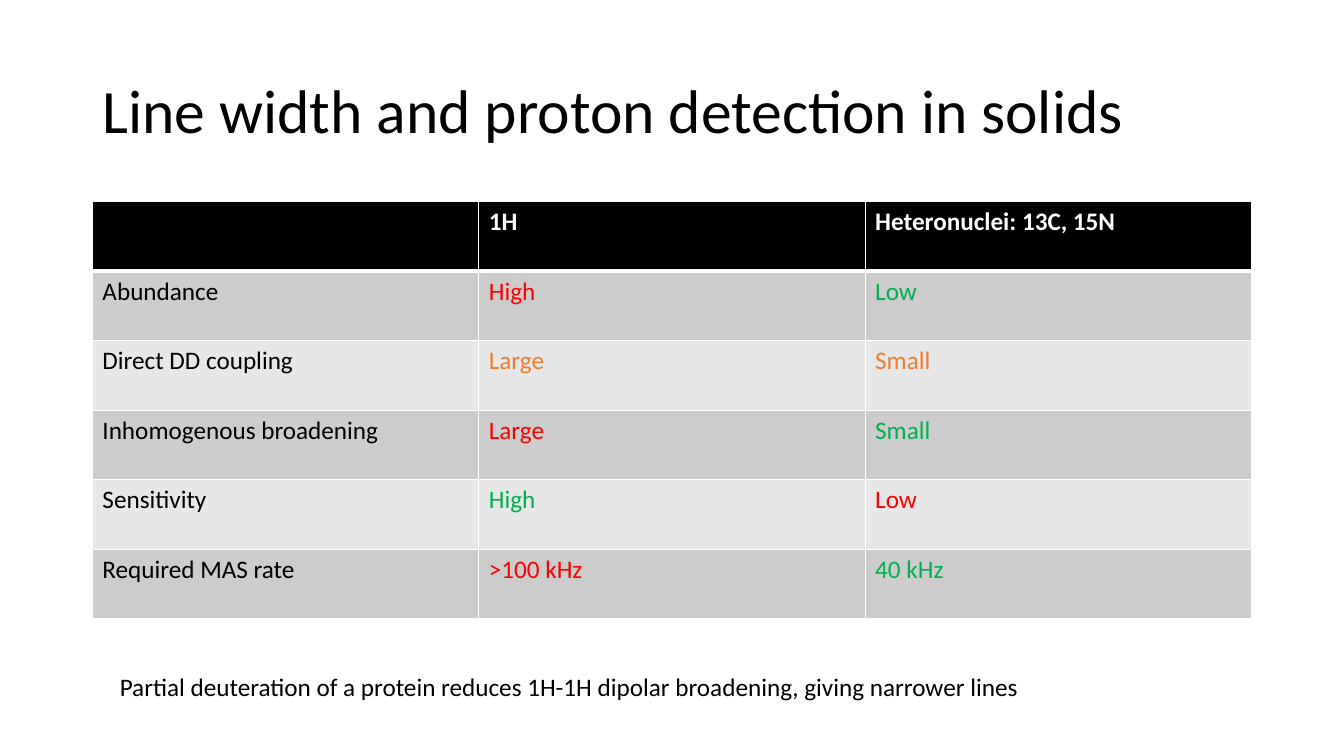
from pptx import Presentation
from pptx.dml.color import RGBColor
from pptx.enum import text
from pptx.oxml import parse_xml
from pptx.oxml.ns import nsdecls
from pptx.util import Pt

TITLE = "Line width and proton detection in solids"
NOTE = ("Partial deuteration of a protein reduces 1H-1H dipolar broadening, "
        "giving narrower lines")
HEADER = ["", "1H", "Heteronuclei: 13C, 15N"]
# Property, then text and rating for 1H and for the heteronuclei
PROPERTIES = [
    ("Abundance", ("High", "bad"), ("Low", "good")),
    ("Direct DD coupling", ("Large", "mixed"), ("Small", "mixed")),
    ("Inhomogenous broadening", ("Large", "bad"), ("Small", "good")),
    ("Sensitivity", ("High", "good"), ("Low", "bad")),
    ("Required MAS rate", (">100 kHz", "bad"), ("40 kHz", "good")),
]
COLORS = {
    "black": "000000", "white": "FFFFFF", "odd": "CCCCCC", "even": "E7E7E7",
    "bad": "FF0000", "good": "00B050", "mixed": "ED7D31",
}
FONT = "Calibri"
LEFT, WIDTH = 66, 828
TABLE_TOP, TABLE_HEIGHT = 144, 298


def color(name):
    return RGBColor.from_string(COLORS[name])


def write(frame, words, size, ink="black", bold=False):
    frame.text = words
    paragraph = frame.paragraphs[0]
    paragraph.alignment = text.PP_ALIGN.LEFT
    for font in [paragraph.font] + [span.font for span in paragraph.runs]:
        font.name, font.size, font.bold = FONT, Pt(size), bold
        font.color.rgb = color(ink)


def add_borders(cell, top, bottom):
    """Draw white cell edges; the side edges are 1 point wide."""
    for side, width in (("L", 1), ("R", 1), ("T", top), ("B", bottom)):
        cell._tc.get_or_add_tcPr().append(parse_xml(
            f'<a:ln{side} {nsdecls("a")} w="{Pt(width)}"><a:solidFill>'
            f'<a:srgbClr val="{COLORS["white"]}"/></a:solidFill></a:ln{side}>'))


def add_title(page):
    title = page.shapes.title
    title.left, title.top = Pt(LEFT), Pt(28.8)
    title.width, title.height = Pt(WIDTH), Pt(104.4)
    frame = title.text_frame
    write(frame, TITLE, 44)
    frame.word_wrap = True
    frame.auto_size = text.MSO_AUTO_SIZE.NONE
    frame.vertical_anchor = text.MSO_ANCHOR.MIDDLE
    frame.paragraphs[0].line_spacing = 0.9


def add_comparison(page):
    rows = [[(words, "white") for words in HEADER]]
    rows += [[(name, "black"), *ratings] for name, *ratings in PROPERTIES]
    table = page.shapes.add_table(
        len(rows), len(HEADER), Pt(LEFT), Pt(TABLE_TOP),
        Pt(WIDTH), Pt(TABLE_HEIGHT)).table
    for column in table.columns:
        column.width = Pt(WIDTH / len(HEADER))
    for r, row in enumerate(rows):
        table.rows[r].height = Pt(TABLE_HEIGHT / len(rows))
        fill = "black" if r == 0 else "odd" if r % 2 else "even"
        for c, (words, ink) in enumerate(row):
            cell = table.cell(r, c)
            write(cell.text_frame, words, 18, ink, bold=r == 0)
            add_borders(cell, top=3 if r == 1 else 1, bottom=3 if r == 0 else 1)
            cell.fill.solid()
            cell.fill.fore_color.rgb = color(fill)


def add_note(page):
    box = page.shapes.add_textbox(Pt(78.5), Pt(476), Pt(701), Pt(29))
    write(box.text_frame, NOTE, 18)
    box.text_frame.word_wrap = True
    box.text_frame.auto_size = text.MSO_AUTO_SIZE.SHAPE_TO_FIT_TEXT


def main():
    deck = Presentation()
    deck.slide_width, deck.slide_height = Pt(960), Pt(540)
    page = deck.slides.add_slide(deck.slide_layouts.get_by_name("Title Only"))
    add_title(page)
    add_comparison(page)
    add_note(page)
    deck.save("out.pptx")


if __name__ == "__main__":
    main()
